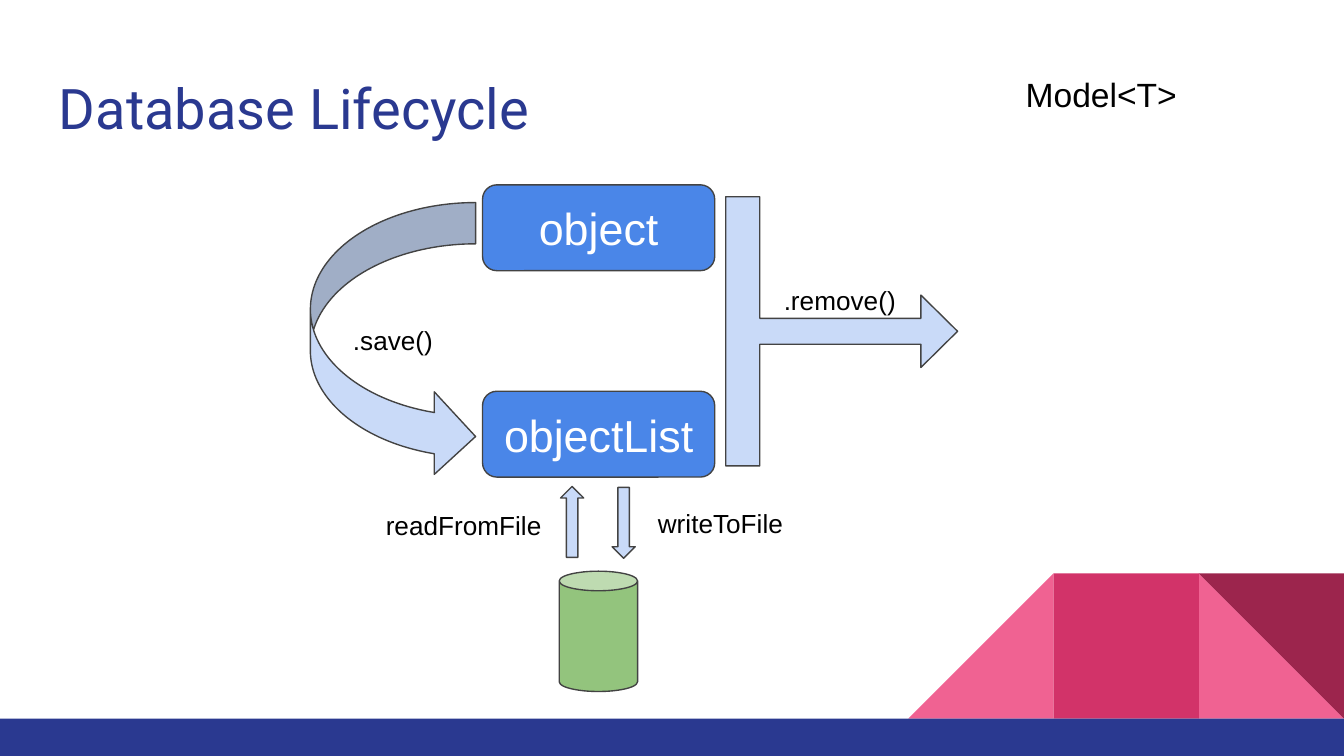
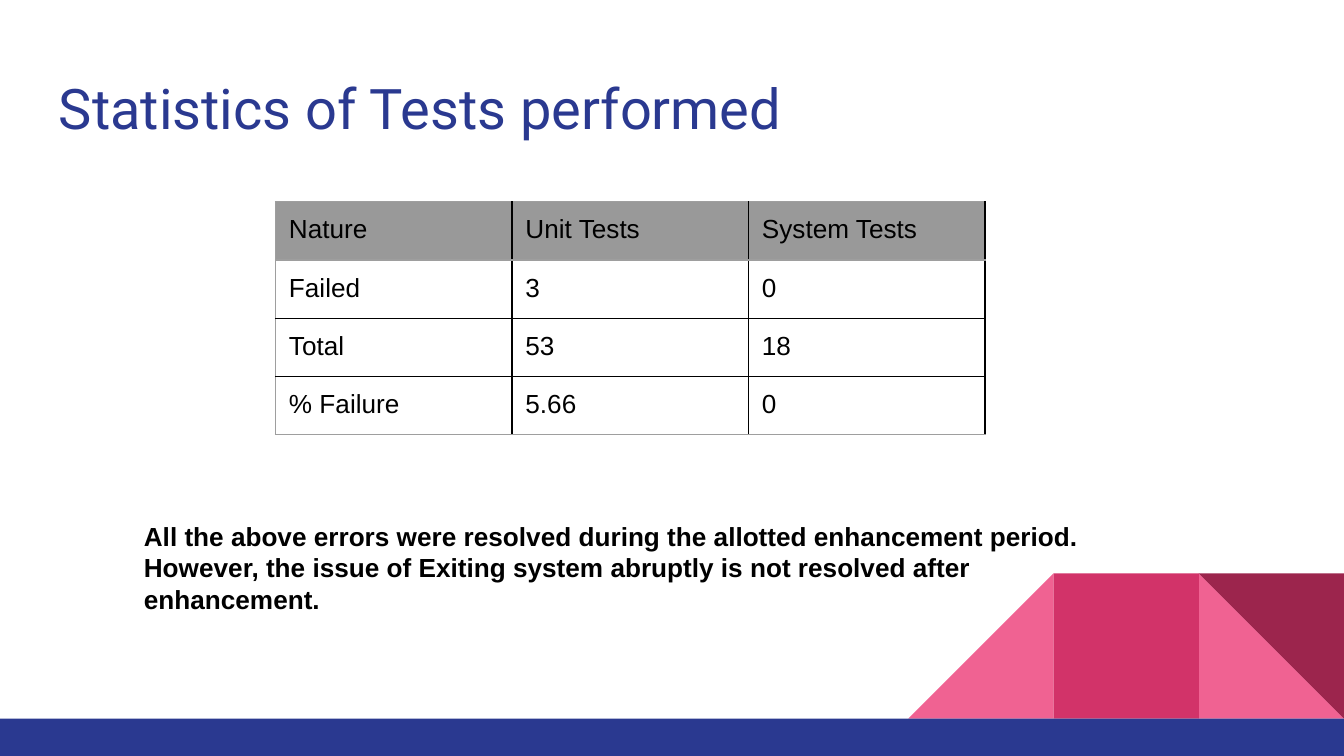
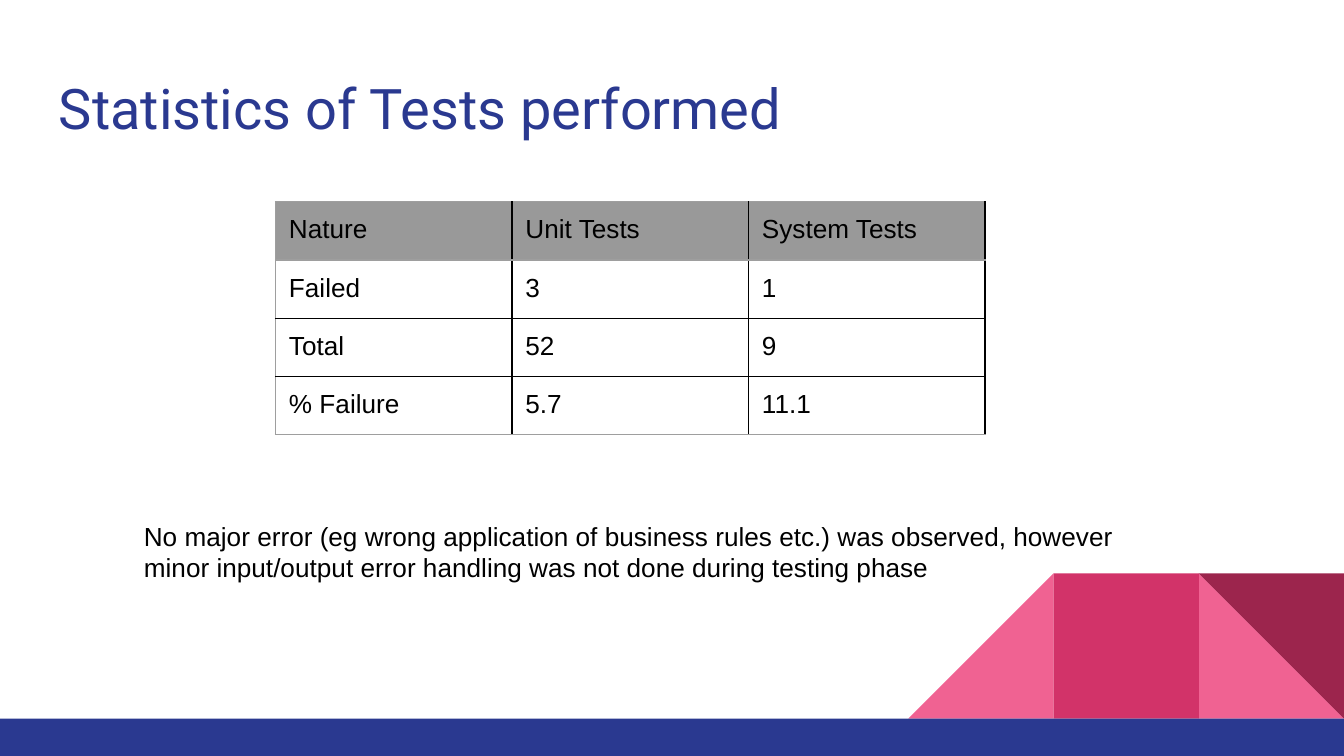
"""Builds three slides: a database lifecycle diagram and two test statistics tables."""
from lxml import etree
from pptx import Presentation
from pptx.dml.color import RGBColor
from pptx.enum.shapes import MSO_SHAPE
from pptx.enum.text import MSO_ANCHOR, PP_ALIGN
from pptx.oxml.ns import qn
from pptx.util import Pt

RECT, TRIANGLE = MSO_SHAPE.RECTANGLE, MSO_SHAPE.RIGHT_TRIANGLE
ROUNDED, CYLINDER = MSO_SHAPE.ROUNDED_RECTANGLE, MSO_SHAPE.CAN
CURVED_ARROW, CALLOUT = MSO_SHAPE.CURVED_RIGHT_ARROW, MSO_SHAPE.RIGHT_ARROW_CALLOUT
UP_ARROW, DOWN_ARROW = MSO_SHAPE.UP_ARROW, MSO_SHAPE.DOWN_ARROW
LEFT, CENTER = PP_ALIGN.LEFT, PP_ALIGN.CENTER
TOP, MIDDLE = MSO_ANCHOR.TOP, MSO_ANCHOR.MIDDLE

WIDTH, HEIGHT = 720, 405
BAND_TOP, TILE = 385, 77.8
INSET, LINE_WIDTH = 7.2, 0.75
NAVY, PINK, ROSE, WINE = "2A3990", "F06292", "D23369", "9C254D"
BLACK, WHITE, OUTLINE = "000000", "FFFFFF", "434343"
BLUE, PALE_BLUE, GREEN = "4A86E8", "C9DAF8", "93C47D"
HEADER_GREY, BORDER_GREY = "999999", "9E9E9E"
BODY_FONT, TITLE_FONT = "Arial", "Roboto"


def color(value):
    """Turn a hex string into a colour."""
    return RGBColor.from_string(value)


def write(frame, paragraphs, size=14, ink=BLACK, font=BODY_FONT, bold=False,
          align=LEFT, anchor=TOP):
    """Fill a text frame with one run per paragraph."""
    frame.word_wrap = True
    frame.vertical_anchor = anchor
    frame.margin_left = frame.margin_right = Pt(INSET)
    frame.margin_top = frame.margin_bottom = Pt(INSET)
    for index, text in enumerate(paragraphs):
        paragraph = frame.add_paragraph() if index else frame.paragraphs[0]
        paragraph.alignment = align
        run = paragraph.add_run()
        run.text = text
        run.font.size = Pt(size)
        run.font.name = font
        run.font.bold = bold
        run.font.color.rgb = color(ink)


def add_label(slide, box, *paragraphs, **style):
    """Add a wrapping text box."""
    label = slide.shapes.add_textbox(*map(Pt, box))
    write(label.text_frame, paragraphs, **style)


def add_figure(slide, kind, box, fill, outline=None, adjustments=(), rotation=0):
    """Add a flat preset shape and return it."""
    figure = slide.shapes.add_shape(kind, *map(Pt, box))
    figure.shadow.inherit = False
    figure.rotation = rotation
    figure.fill.solid()
    figure.fill.fore_color.rgb = color(fill)
    if outline:
        figure.line.color.rgb = color(outline)
        figure.line.width = Pt(LINE_WIDTH)
    else:
        figure.line.fill.background()
    for index, value in enumerate(adjustments):
        figure.adjustments[index] = value
    return figure


def add_base(prs, title):
    """Add a slide with the corner tiles, the bottom band and a title."""
    slide = prs.slides.add_slide(prs.slide_layouts[6])
    tiles = [(TRIANGLE, 1, PINK, 0), (TRIANGLE, 3, PINK, 270),
             (RECT, 2, ROSE, 0), (TRIANGLE, 1, WINE, 180)]
    for kind, place, fill, rotation in tiles:
        box = (WIDTH - place * TILE, BAND_TOP - TILE, TILE, TILE)
        add_figure(slide, kind, box, fill, rotation=rotation)
    add_figure(slide, RECT, (0, BAND_TOP, WIDTH, HEIGHT - BAND_TOP), NAVY)
    add_label(slide, (24.5, 32.4, 671, 47.5), title,
              size=30, ink=NAVY, font=TITLE_FONT)
    return slide


def set_borders(cell, **sides):
    """Draw the cell borders, given as L, R, T and B colours."""
    properties = cell._tc.get_or_add_tcPr()
    for side, ink in sides.items():
        line = etree.SubElement(properties, qn(f"a:ln{side}"), w=str(Pt(LINE_WIDTH)))
        fill = etree.SubElement(line, qn("a:solidFill"))
        etree.SubElement(fill, qn("a:srgbClr"), val=ink)


def add_results(slide, rows):
    """Add the table of test results below a grey header row."""
    column_width, row_height, last = 126.7, 30.2, len(rows) - 1
    table = slide.shapes.add_table(
        len(rows), len(rows[0]), Pt(147.6), Pt(108),
        Pt(column_width * len(rows[0])), Pt(row_height * len(rows))).table
    table.first_row = table.horz_banding = False
    for column in table.columns:
        column.width = Pt(column_width)
    for r, values in enumerate(rows):
        table.rows[r].height = Pt(row_height)
        for c, value in enumerate(values):
            cell = table.cell(r, c)
            set_borders(cell,
                        L=BLACK if c else BORDER_GREY,
                        R=BLACK,
                        T=BLACK if r > 1 else BORDER_GREY,
                        B=BLACK if 0 < r < last else BORDER_GREY)
            if r:
                cell.fill.background()
            else:
                cell.fill.solid()
                cell.fill.fore_color.rgb = color(HEADER_GREY)
            write(cell.text_frame, [value])
            cell.margin_left = cell.margin_right = Pt(INSET)
            cell.margin_top = cell.margin_bottom = Pt(INSET)


def add_lifecycle_slide(prs):
    """Show how objects are saved, removed, read and written."""
    slide = add_base(prs, "Database Lifecycle")
    for name, top in (("objectList", 209.6), ("object", 99)):
        node = add_figure(slide, ROUNDED, (258.5, top, 124.4, 46), BLUE, OUTLINE, [0.167])
        write(node.text_frame, [name], size=24, ink=WHITE, align=CENTER, anchor=MIDDLE)
    save = add_figure(slide, CURVED_ARROW, (166.3, 108.5, 88.5, 147.5),
                      PALE_BLUE, OUTLINE, [0.25, 0.5, 0.25])
    write(save.text_frame, [".save()"], align=CENTER, anchor=MIDDLE)
    add_figure(slide, CALLOUT, (388.8, 105.4, 124.2, 144.2),
               PALE_BLUE, OUTLINE, [0.112, 0.156, 0.158, 0.147])
    add_figure(slide, CYLINDER, (299.6, 306, 42, 64.5), GREEN, OUTLINE, [0.25])
    for kind, left, top in ((UP_ARROW, 300.3, 260.6), (DOWN_ARROW, 327.9, 261.1)):
        add_figure(slide, kind, (left, top, 12.4, 38), PALE_BLUE, OUTLINE, [0.5, 0.5])
    add_label(slide, (196.2, 265.7, 104.4, 29.5), "readFromFile", align=CENTER)
    add_label(slide, (343.9, 264.6, 84.2, 29.5), "writeToFile", align=CENTER)
    add_label(slide, (412.8, 145, 88.5, 24.5), ".remove()")
    add_label(slide, (512.6, 32.4, 154.8, 36), "Model<T>", size=18, align=CENTER)


def add_statistics_slide(prs, failed, total, failure, remarks, bold=False):
    """Show unit and system test results with remarks."""
    slide = add_base(prs, "Statistics of Tests performed")
    add_results(slide, [("Nature", "Unit Tests", "System Tests"),
                        ("Failed", *failed),
                        ("Total", *total),
                        ("% Failure", *failure)])
    add_label(slide, (70, 271.5, 553, 65.5), *remarks, bold=bold)


def main():
    """Build and save the presentation."""
    prs = Presentation()
    prs.slide_width, prs.slide_height = Pt(WIDTH), Pt(HEIGHT)
    add_lifecycle_slide(prs)
    add_statistics_slide(
        prs, ("3", "0"), ("53", "18"), ("5.66", "0"),
        ["All the above errors were resolved during the allotted enhancement period.",
         "However, the issue of Exiting system abruptly is not resolved after enhancement."],
        bold=True)
    add_statistics_slide(
        prs, ("3", "1"), ("52", "9"), ("5.7", "11.1"),
        ["No major error (eg wrong application of business rules etc.) was observed, "
         "however minor input/output error handling was not done during testing phase"])
    prs.save("out.pptx")


if __name__ == "__main__":
    main()
